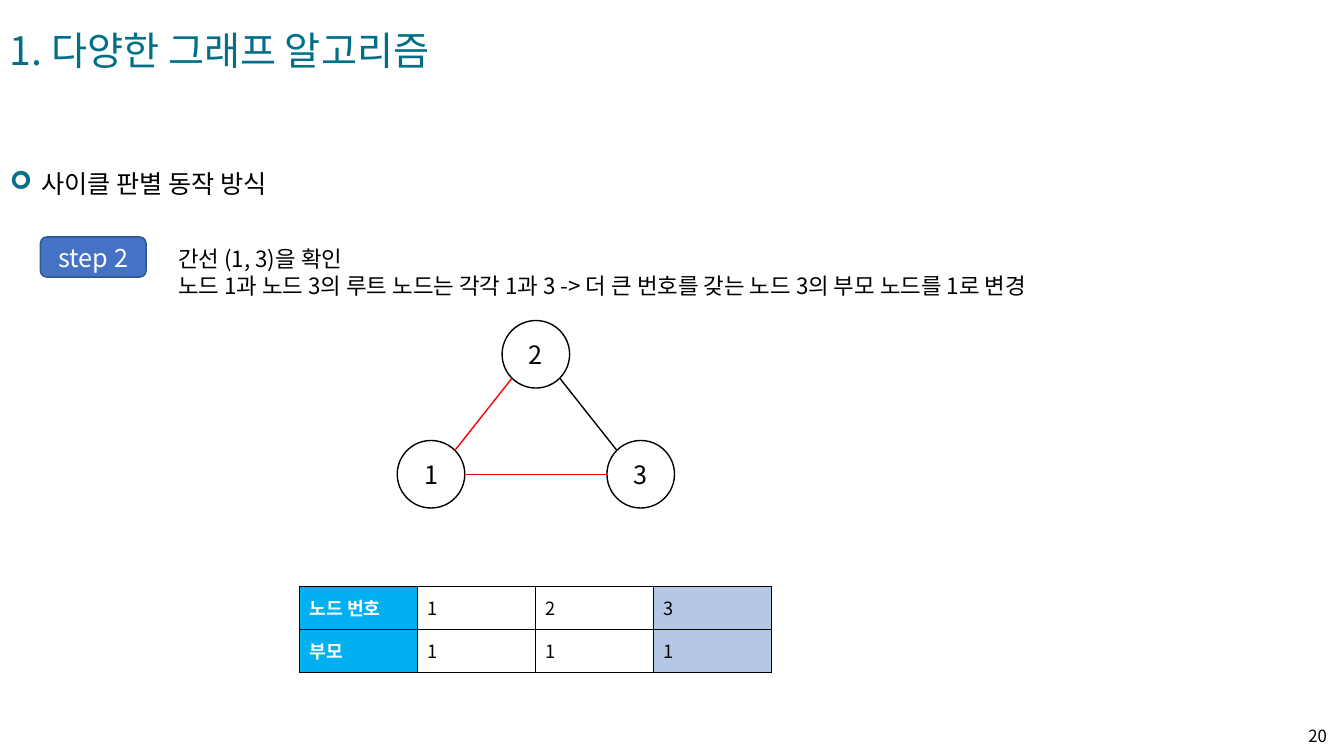
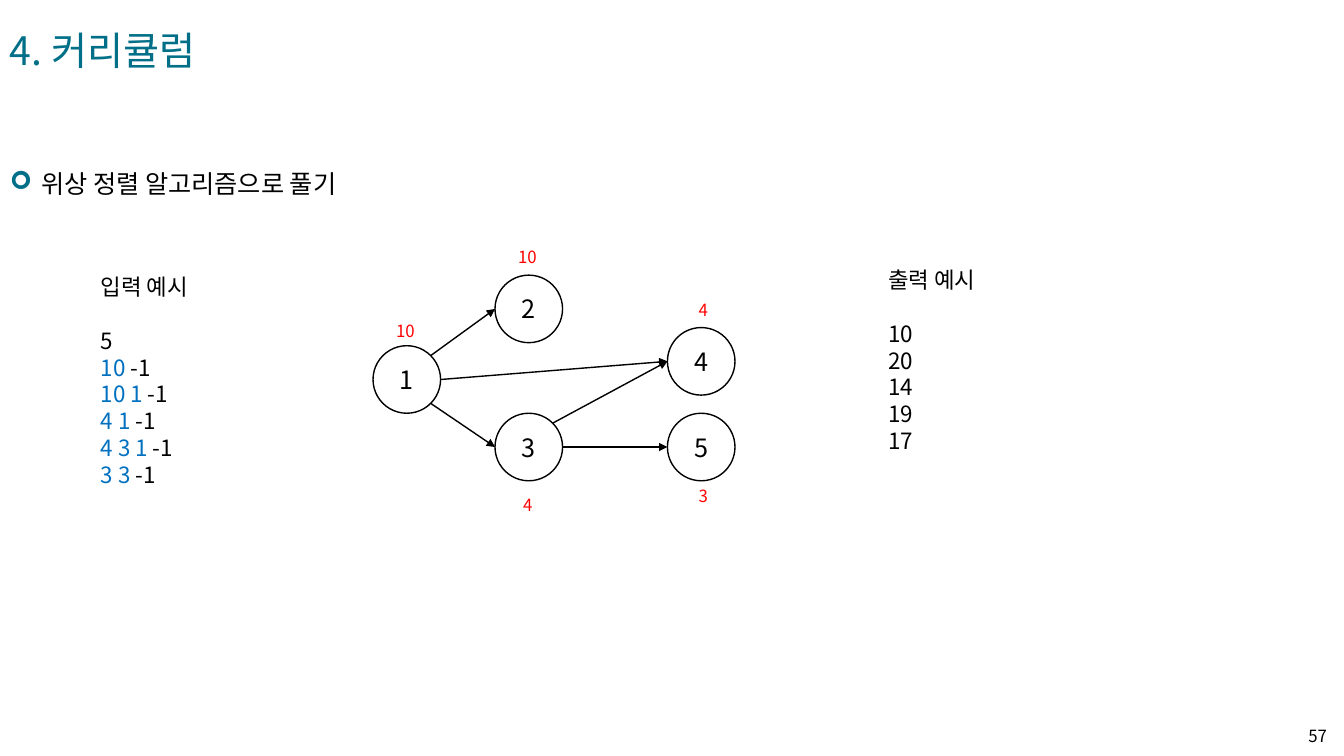
from math import sqrt

from lxml.etree import SubElement
from pptx import Presentation
from pptx.dml.color import RGBColor
from pptx.enum.shapes import MSO_CONNECTOR, MSO_SHAPE
from pptx.enum.text import MSO_ANCHOR, PP_ALIGN
from pptx.oxml.ns import qn
from pptx.util import Inches, Pt

FONT = "Noto Sans CJK KR"
TEAL = "016F87"
BLACK = "000000"
WHITE = "FFFFFF"
RED = "FF0000"
BUTTON_BLUE = "4472C4"
BUTTON_EDGE = "325491"
INPUT_BLUE = "0070C0"
HEADER_BLUE = "00B0F0"
HIGHLIGHT = "B4C7E7"

NODE_SIZE = 0.67
BODY_SIZE = 16
BODY_LEADING = Pt(19.2)
DIAGONAL = 1 / sqrt(2)
# Directions from a node's centre to the points where edges attach.
SITES = {
    "E": (1, 0),
    "W": (-1, 0),
    "NE": (DIAGONAL, -DIAGONAL),
    "SE": (DIAGONAL, DIAGONAL),
    "NW": (-DIAGONAL, -DIAGONAL),
    "SW": (-DIAGONAL, DIAGONAL),
}


def rgb(color):
    return RGBColor.from_string(color)


def add_run(paragraph, text, size, color=BLACK, bold=False):
    run = paragraph.add_run()
    run.text = text
    font = run.font
    font.size = Pt(size)
    font.bold = bold
    font.color.rgb = rgb(color)
    font.name = FONT
    SubElement(font._element, qn("a:ea"), typeface=FONT)


def add_text_box(slide, box, lines, size, color=BLACK, anchor=MSO_ANCHOR.TOP):
    """Add a box with one paragraph per line; a line is a list of (text, color) or a string."""
    frame = slide.shapes.add_textbox(*map(Inches, box)).text_frame
    frame.word_wrap = True
    frame.vertical_anchor = anchor
    for index, line in enumerate(lines):
        paragraph = frame.add_paragraph() if index else frame.paragraphs[0]
        for text, run_color in [(line, color)] if isinstance(line, str) else line:
            add_run(paragraph, text, size, run_color)
    return frame


def add_body_text(slide, box, lines):
    frame = add_text_box(slide, box, lines, BODY_SIZE)
    for paragraph in frame.paragraphs:
        paragraph.line_spacing = BODY_LEADING
    return frame


def add_example(slide, box, heading, lines):
    """Add a heading followed, one line lower, by sample data."""
    frame = add_body_text(slide, box, [heading, *lines])
    frame.paragraphs[0].space_after = BODY_LEADING


def add_shape(slide, preset, box, text, color, fill=None, edge=BLACK):
    shape = slide.shapes.add_shape(preset, *map(Inches, box))
    shape.shadow.inherit = False
    if fill:
        shape.fill.solid()
        shape.fill.fore_color.rgb = rgb(fill)
    else:
        shape.fill.background()
    shape.line.color.rgb = rgb(edge)
    shape.line.width = Pt(1)
    frame = shape.text_frame
    frame.vertical_anchor = MSO_ANCHOR.MIDDLE
    paragraph = frame.paragraphs[0]
    paragraph.alignment = PP_ALIGN.CENTER
    add_run(paragraph, text, 18, color)


def site_point(corner, site):
    radius = NODE_SIZE / 2
    return [Inches(start + radius * (1 + step)) for start, step in zip(corner, SITES[site])]


def add_graph(slide, nodes, edges, arrows=False):
    """Draw nodes {label: corner} and edges (from, site, to, site, color)."""
    for label, corner in nodes.items():
        add_shape(slide, MSO_SHAPE.OVAL, (*corner, NODE_SIZE, NODE_SIZE), label, BLACK)
    for source, source_site, target, target_site, color in edges:
        connector = slide.shapes.add_connector(
            MSO_CONNECTOR.STRAIGHT,
            *site_point(nodes[source], source_site),
            *site_point(nodes[target], target_site),
        )
        connector.line.color.rgb = rgb(color)
        connector.line.width = Pt(1)
        if arrows:
            SubElement(connector.line._get_or_add_ln(), qn("a:tailEnd"), type="triangle")
        SubElement(connector.element.spPr, qn("a:effectLst"))


def add_cell_borders(cell):
    properties = cell._tc.get_or_add_tcPr()
    for position, side in enumerate(("lnL", "lnR", "lnT", "lnB")):
        line = properties.makeelement(qn(f"a:{side}"), {"w": str(Pt(1))})
        fill = SubElement(line, qn("a:solidFill"))
        SubElement(fill, qn("a:srgbClr"), val=BLACK)
        properties.insert(position, line)


def add_parent_table(slide, box, rows, highlighted_column):
    shape = slide.shapes.add_table(len(rows), len(rows[0]), *map(Inches, box))
    table = shape.table
    table.first_row = False
    table.horz_banding = False
    for row_index, row in enumerate(rows):
        for column_index, text in enumerate(row):
            cell = table.cell(row_index, column_index)
            is_header = column_index == 0
            if is_header or column_index == highlighted_column:
                cell.fill.solid()
                cell.fill.fore_color.rgb = rgb(HEADER_BLUE if is_header else HIGHLIGHT)
            else:
                cell.fill.background()
            add_cell_borders(cell)
            cell.vertical_anchor = MSO_ANCHOR.MIDDLE
            color = WHITE if is_header else BLACK
            add_run(cell.text_frame.paragraphs[0], text, 13, color, is_header)


def add_bulleted_topic(slide, text):
    paragraph = add_text_box(slide, (0, 1.32, 6.74, 0.62), [text], 18).paragraphs[0]
    paragraph.line_spacing = 2.0
    properties = paragraph._p.get_or_add_pPr()
    properties.set("marL", str(Inches(0.31)))
    properties.set("indent", str(Inches(-0.31)))
    bullet_color = SubElement(properties, qn("a:buClr"))
    SubElement(bullet_color, qn("a:srgbClr"), val=TEAL)
    SubElement(properties, qn("a:buFont"), typeface="Wingdings")
    SubElement(properties, qn("a:buChar"), char="➢")


def add_base_slide(presentation, title, title_width, topic, page):
    """Add a slide with the shared title, page number and bulleted topic."""
    slide = presentation.slides.add_slide(presentation.slide_layouts[6])
    add_text_box(slide, (0, 0.21, title_width, 0.57), [title], 28, TEAL)
    number = add_text_box(
        slide, (12.69, 7.1, 0.57, 0.4), [page], 12, anchor=MSO_ANCHOR.MIDDLE
    )
    number.paragraphs[0].alignment = PP_ALIGN.RIGHT
    add_bulleted_topic(slide, topic)
    return slide


def build_cycle_slide(presentation):
    slide = add_base_slide(
        presentation, "1. 다양한 그래프 알고리즘", 4.85, "사이클 판별 동작 방식", "20"
    )
    add_shape(slide, MSO_SHAPE.ROUNDED_RECTANGLE, (0.4, 2.35, 1.05, 0.4),
              "step 2", WHITE, BUTTON_BLUE, BUTTON_EDGE)
    add_body_text(slide, (1.67, 2.38, 9.98, 0.64), [
        "간선 (1, 3)을 확인",
        "노드 1과 노드 3의 루트 노드는 각각 1과 3 -> 더 큰 번호를 갖는 노드 3의 부모 노드를 1로 변경",
    ])
    nodes = {"1": (3.94, 4.37), "2": (4.98, 3.18), "3": (6.02, 4.37)}
    edges = [
        ("2", "SW", "1", "NE", RED),
        ("1", "E", "3", "W", RED),
        ("2", "SE", "3", "NW", BLACK),
    ]
    add_graph(slide, nodes, edges)
    rows = [("노드 번호", "1", "2", "3"), ("부모", "1", "1", "1")]
    add_parent_table(slide, (2.97, 5.82, 4.68, 0.85), rows, highlighted_column=3)


def build_curriculum_slide(presentation):
    slide = add_base_slide(
        presentation, "4. 커리큘럼", 2.21, "위상 정렬 알고리즘으로 풀기", "57"
    )
    nodes = {
        "1": (3.7, 3.43),
        "2": (4.91, 2.73),
        "3": (4.91, 4.1),
        "4": (6.62, 3.25),
        "5": (6.62, 4.1),
    }
    edges = [
        ("1", "NE", "2", "W", BLACK),
        ("1", "SE", "3", "W", BLACK),
        ("3", "E", "5", "W", BLACK),
        ("3", "NE", "4", "W", BLACK),
        ("1", "E", "4", "W", BLACK),
    ]
    add_graph(slide, nodes, edges, arrows=True)

    course_times = [
        ("10", 3.83, 3.13),
        ("10", 5.04, 2.4),
        ("4", 5.09, 4.86),
        ("4", 6.83, 2.92),
        ("3", 6.83, 4.77),
    ]
    for time, left, top in course_times:
        add_text_box(slide, (left, top, 0.4, 0.3), [time], 12, RED)

    courses = ["10 ", "10 1 ", "4 1 ", "4 3 1 ", "3 3 "]
    input_lines = [[(course, INPUT_BLUE), ("-1", BLACK)] for course in courses]
    add_example(slide, (0.9, 2.66, 1.89, 2.26), "입력 예시", ["5", *input_lines])
    add_example(slide, (8.71, 2.59, 1.3, 1.99), "출력 예시",
                ["10", "20", "14", "19", "17"])


def main():
    presentation = Presentation()
    presentation.slide_width = Inches(13.33)
    presentation.slide_height = Inches(7.5)
    build_cycle_slide(presentation)
    build_curriculum_slide(presentation)
    presentation.save("out.pptx")


if __name__ == "__main__":
    main()
